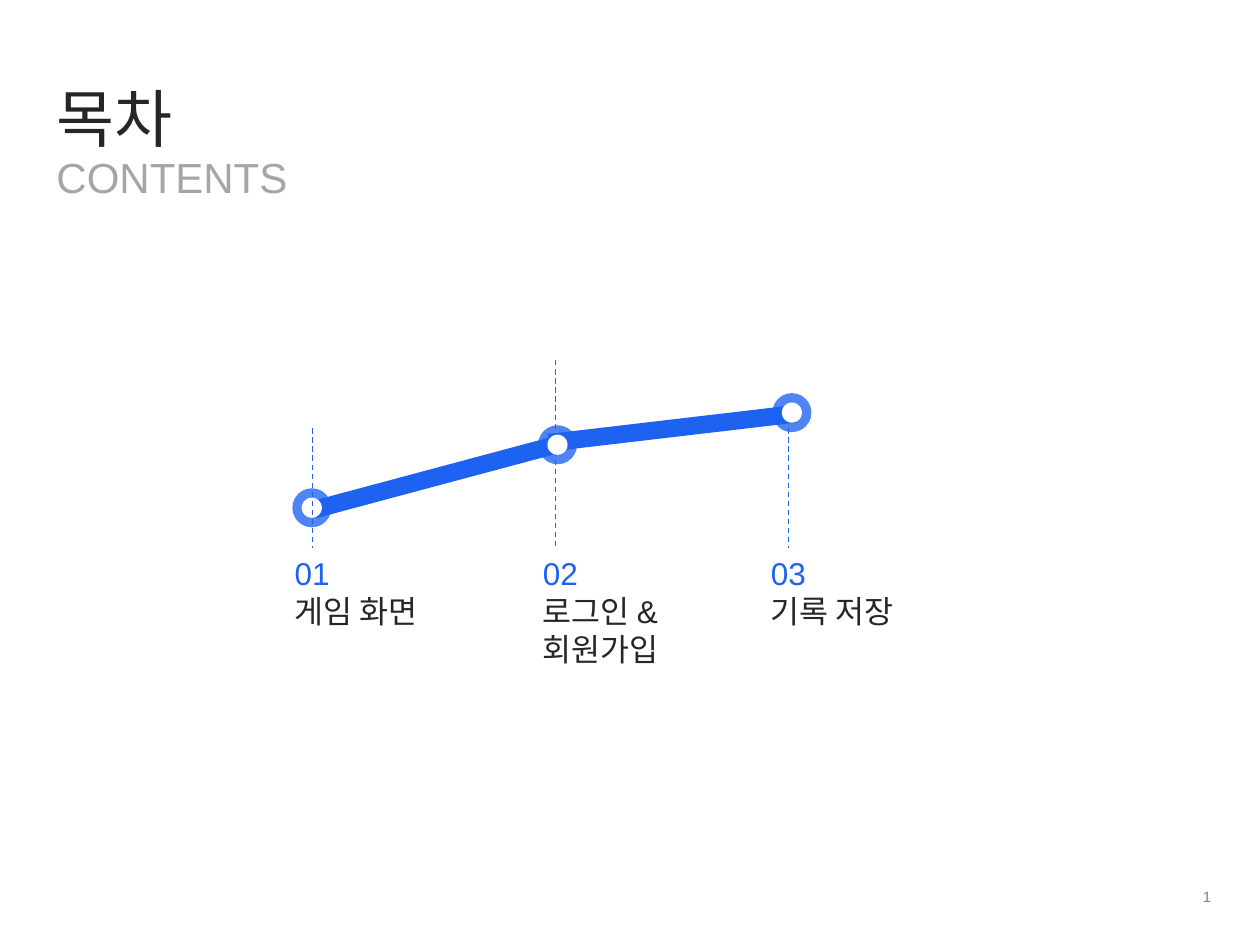
from lxml import etree
from pptx import Presentation
from pptx.dml.color import RGBColor
from pptx.enum.dml import MSO_LINE
from pptx.enum.shapes import MSO_CONNECTOR, MSO_SHAPE
from pptx.enum.text import MSO_ANCHOR, PP_ALIGN
from pptx.oxml.ns import qn
from pptx.util import Inches, Pt

RECTANGLE = MSO_SHAPE.RECTANGLE
OVAL = MSO_SHAPE.OVAL
STRAIGHT = MSO_CONNECTOR.STRAIGHT
DASH = MSO_LINE.DASH
TOP, MIDDLE = MSO_ANCHOR.TOP, MSO_ANCHOR.MIDDLE
LEFT, RIGHT = PP_ALIGN.LEFT, PP_ALIGN.RIGHT

COLORS = {
    "accent": "1D62F0",
    "white": "FFFFFF",
    "dark": "262626",
    "subtitle": "A5A5A5",
    "number": "7F7F7F",
}
WIDTH, HEIGHT = Inches(10), Inches(7.5)
COLUMNS, ROWS = 100, 75
RING, DOT, BAR_LENGTH, BAR_THICKNESS = 3.1, 1.6, 19.7, 1.4
LABEL_TOP, LABEL_WIDTH = 43.5, 17.3


class SlideBuilder:
    def __init__(self, slide, font="Arial"):
        self.slide = slide
        self.font = font

    def across(self, columns):
        return round(WIDTH * columns / COLUMNS)

    def down(self, rows):
        return round(HEIGHT * rows / ROWS)

    def color(self, name):
        return RGBColor.from_string(COLORS[name])

    def box(self, left, top, width, height):
        return self.across(left), self.down(top), self.across(width), self.down(height)

    def text(self, box, lines, size, anchor=TOP, align=LEFT):
        frame = self.slide.shapes.add_textbox(*self.box(*box)).text_frame
        frame.word_wrap = True
        frame.vertical_anchor = anchor
        for index, (content, color) in enumerate(lines):
            paragraph = frame.add_paragraph() if index else frame.paragraphs[0]
            paragraph.alignment = align
            run = paragraph.add_run()
            run.text = content
            run.font.color.rgb = self.color(color)
            for name, value in {"name": self.font, "size": Pt(size)}.items():
                setattr(run.font, name, value)

    def centered(self, kind, center, width, height, color, rotation=0, opacity=100):
        x, y = center
        shape = self.slide.shapes.add_shape(
            kind, *self.box(x - width / 2, y - height / 2, width, height))
        shape.shadow.inherit = False
        shape.rotation = rotation
        shape.fill.solid()
        shape.fill.fore_color.rgb = self.color(color)
        shape.line.fill.background()
        if opacity < 100:
            fill = shape.fill._xPr.find(qn("a:solidFill"))
            etree.SubElement(fill[0], qn("a:alpha"), val=str(opacity * 1000))

    def bar(self, center, rotation):
        self.centered(RECTANGLE, center, BAR_LENGTH, BAR_THICKNESS, "accent", rotation)

    def node(self, center):
        self.centered(OVAL, center, RING, RING, "accent", opacity=78)
        self.centered(OVAL, center, DOT, DOT, "white")

    def guide(self, column, top):
        x = self.across(column)
        guide = self.slide.shapes.add_connector(
            STRAIGHT, x, self.down(top), x, self.down(LABEL_TOP))
        guide.line.color.rgb = self.color("accent")
        for name, value in {"width": Pt(0.75), "dash_style": DASH}.items():
            setattr(guide.line, name, value)
        etree.SubElement(guide._element.spPr, qn("a:effectLst"))

    def label(self, left, number, lines):
        content = [(number, "accent")] + [(line, "dark") for line in lines]
        height = 1.1 + 3 * len(content)
        self.text((left, LABEL_TOP, LABEL_WIDTH, height), content, 18)


def main():
    presentation = Presentation()
    presentation.slide_width, presentation.slide_height = WIDTH, HEIGHT
    slide = presentation.slides.add_slide(presentation.slide_layouts[6])
    builder = SlideBuilder(slide)

    builder.text((76, 69.8, 21.1, 2.7), [("1", "number")], 8.5, MIDDLE, RIGHT)
    builder.guide(44.1, 28.6)
    builder.bar((53.35, 34), 353.3)
    builder.node((62.85, 32.75))
    builder.bar((34.45, 37.9), 345)
    builder.node((44.25, 35.3))
    builder.node((24.75, 40.3))

    labels = [
        (22.4, ["게임 화면"]),
        (42.1, ["로그인 &", "회원가입"]),
        (60.2, ["기록 저장"]),
    ]
    for number, (left, lines) in enumerate(labels, 1):
        builder.label(left, f"{number:02}", lines)
    for column in (24.8, 62.6):
        builder.guide(column, 34)

    builder.text((3.5, 5.8, 75.6, 7.1), [("목차", "dark")], 36)
    builder.text((3.5, 11.5, 75.6, 5), [("CONTENTS", "subtitle")], 24)
    presentation.save("out.pptx")


if __name__ == "__main__":
    main()
